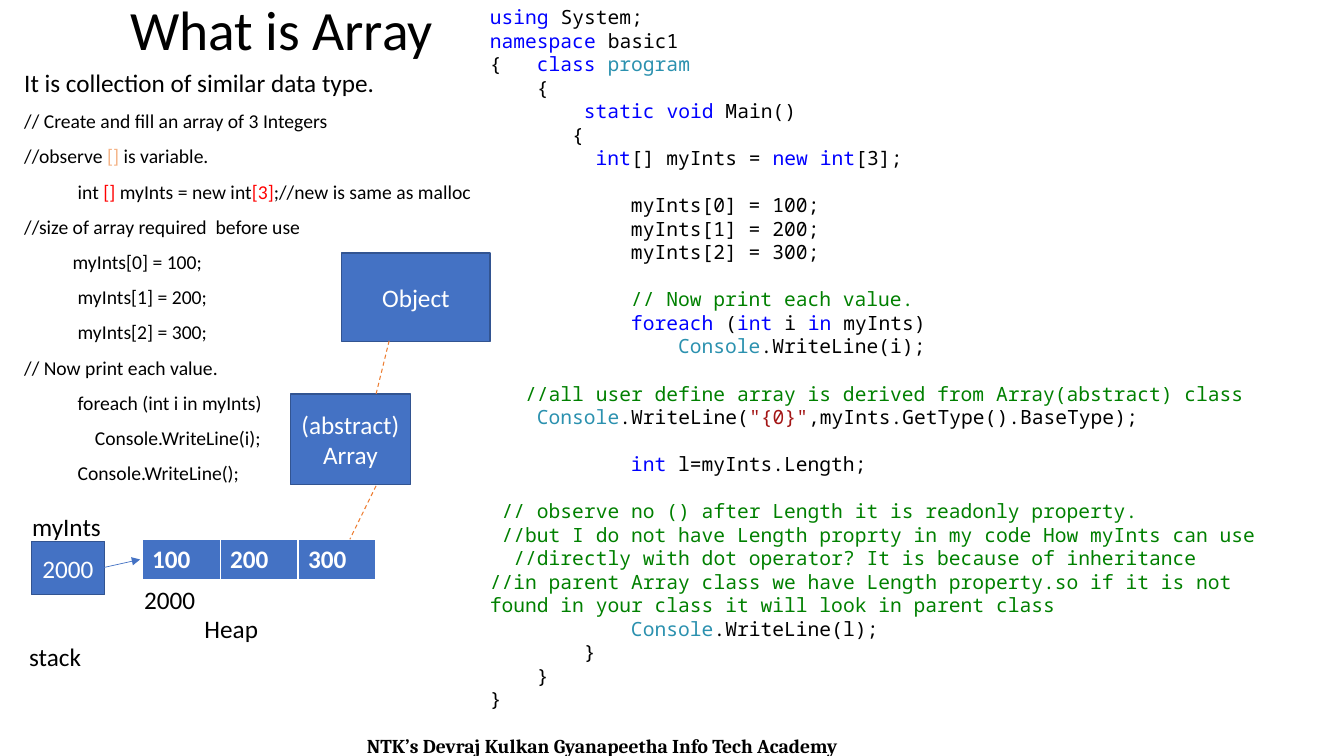
from dataclasses import dataclass
from functools import partial
from typing import NamedTuple

from lxml.etree import SubElement as Sub
from pptx import Presentation
from pptx.dml.color import RGBColor as Rgb
from pptx.enum.dml import MSO_LINE
from pptx.enum.shapes import MSO_CONNECTOR, MSO_SHAPE
from pptx.enum.text import MSO_ANCHOR, MSO_AUTO_SIZE, PP_ALIGN
from pptx.oxml.ns import qn
from pptx.util import Inches, Pt


@dataclass(frozen=True)
class Theme:
    black: str = "000000"
    white: str = "FFFFFF"
    blue: str = "4472C4"
    edge: str = "325491"
    dash: str = "ED7D31"
    peach: str = "F4B183"
    red: str = "FF0000"
    key: str = "0000FF"
    kind: str = "2B91AF"
    note: str = "008000"
    quote: str = "A31515"
    sans: str = "Calibri"
    serif: str = "Cambria"
    mono: str = "Noto Sans Mono"
    head: float = 39.6
    large: float = 18
    small: float = 14
    pitch: float = 16.8


T = Theme()


class Tint(NamedTuple):
    text: str
    color: str


class Row(NamedTuple):
    words: tuple
    left: float = 0
    gap: float = 0
    hang: float = 0
    size: float = T.small


class Box(NamedTuple):
    text: str
    x: float
    y: float
    w: float
    h: float


class Link(NamedTuple):
    start: tuple
    end: tuple
    color: str
    width: float
    arrow: bool = False


key, kind, note, quote, red, peach = (
    partial(Tint, color=c) for c in (T.key, T.kind, T.note, T.quote, T.red, T.peach))

BODY = [
    Row(("It is collection of similar data type.",), size=T.large),
    Row(("// Create and fill an array of 3 Integers",)),
    Row(("//observe ", peach("[] "), "is variable.")),
    Row(("int ", red("[] "), "myInts = new int", red("[3]"), ";//new is same as malloc"), 0.53),
    Row(("//size of array required  before use",)),
    Row(("myInts[0] = 100;",), 0.48),
    Row(("myInts[1] = 200;",), 0.53),
    Row(("myInts[2] = 300;",), 0.53),
    Row(("// Now print each value.",)),
    Row(("foreach (int i in myInts)",), 0.53),
    Row(("Console.WriteLine(i);",), 0.7),
    Row(("Console.WriteLine();",), 0.53),
]

CODE = [
    Row((key("using"), " System;")),
    Row((key("namespace"), " basic1")),
    Row(("{\t", key("class"), " ", kind("program")), 4, hang=4),
    Row(("{",), 4),
    Row((key("static"), " ", key("void"), " Main()"), 8),
    Row(("{",), 7),
    Row((key("int"), "[] myInts = ", key("new"), " ", key("int"), "[3];"), 9),
    Row(("myInts[0] = 100;",), 12, 1),
    Row(("myInts[1] = 200;",), 12),
    Row(("myInts[2] = 300;",), 12),
    Row((note("// Now print each value."),), 12, 1),
    Row((key("foreach"), " (", key("int"), " i ", key("in"), " myInts)"), 12),
    Row((kind("Console"), ".WriteLine(i);"), 16),
    Row((note("//all user define array is derived from Array(abstract) class"),), 3, 1),
    Row((kind("Console"), ".WriteLine(", quote('"{0}"'), ",myInts.GetType().BaseType);"), 4),
    Row((key("int"), " l=myInts.Length;"), 12, 1),
    Row((note("// observe no () after Length it is readonly property."),), 1, 1),
    Row((note("//but I do not have Length proprty in my code How myInts can use"),), 1),
    Row((note("//directly with dot operator? It is because of inheritance"),), 2),
    Row((note("//in parent Array class we have Length property.so if it is not "
              "found in your class it will look in parent class"),)),
    Row((kind("Console"), ".WriteLine(l);"), 12),
    Row(("}",), 8),
    Row(("}",), 4),
    Row(("}",)),
]

BOXES = [
    Box("2000", 0.31, 5.37, 0.73, 0.53),
    Box("(abstract)\vArray", 2.88, 3.91, 1.19, 0.9),
    Box("Object", 3.39, 2.51, 1.47, 0.88),
]
LABELS = [
    Box("myInts", 0.22, 5.02, 0.89, 0.4),
    Box("stack", 0.19, 6.31, 0.72, 0.4),
    Box("Heap", 1.93, 6.04, 0.74, 0.4),
    Box("2000", 1.33, 5.75, 0.71, 0.4),
]
LINKS = [
    Link((1.03, 5.63), (1.39, 5.55), T.blue, 0.5, True),
    Link((3.86, 3.38), (3.73, 3.91), T.dash, 0.75),
    Link((3.73, 4.82), (3.47, 5.35), T.dash, 0.75),
]


def style(font, size: float, color: str = T.black, face: str = T.sans, bold: bool = False) -> None:
    font.size, font.name, font.bold = Pt(size), face, bold
    font.color.rgb = Rgb.from_string(color)


def place(shape, x: float, y: float, w: float, h: float) -> None:
    shape.left, shape.top, shape.width, shape.height = map(Inches, (x, y, w, h))


def write(frame, rows: list[Row], face: str, unit: float, pitch, lead: float, step: float) -> None:
    frame.word_wrap, frame.auto_size = True, MSO_AUTO_SIZE.NONE
    for i, row in enumerate(rows):
        para = frame.add_paragraph() if i else frame.paragraphs[0]
        para.line_spacing = pitch
        para.space_before = Pt(lead + row.gap * step)
        props = para._p.get_or_add_pPr()
        props.set("marL", str(Inches(row.left * unit)))
        props.set("indent", str(-Inches(row.hang * unit)))
        Sub(props, qn("a:buNone"))
        style(para.font, row.size, face=face)
        for word in row.words:
            run = para.add_run()
            run.text = word.text if isinstance(word, Tint) else word
            if isinstance(word, Tint):
                run.font.color.rgb = Rgb.from_string(word.color)


def label(slide, box: Box) -> None:
    frame = slide.shapes.add_textbox(*map(Inches, box[1:])).text_frame
    frame.word_wrap = False
    frame.text = box.text
    style(frame.paragraphs[0].font, T.large)


def block(slide, box: Box) -> None:
    shape = slide.shapes.add_shape(MSO_SHAPE.RECTANGLE, *map(Inches, box[1:]))
    shape.shadow.inherit = False
    shape.fill.solid()
    shape.fill.fore_color.rgb = Rgb.from_string(T.blue)
    shape.line.color.rgb = Rgb.from_string(T.edge)
    shape.line.width = Pt(1)
    frame = shape.text_frame
    frame.vertical_anchor = MSO_ANCHOR.MIDDLE
    para = frame.paragraphs[0]
    para.text = box.text
    para.alignment = PP_ALIGN.CENTER
    style(para.font, T.large, T.white)


def join(slide, link: Link) -> None:
    line = slide.shapes.add_connector(
        MSO_CONNECTOR.STRAIGHT, *map(Inches, link.start + link.end))
    line.line.color.rgb = Rgb.from_string(link.color)
    line.line.width = Pt(link.width)
    if link.arrow:
        Sub(line._element.spPr.find(qn("a:ln")), qn("a:tailEnd"), type="triangle")
    else:
        line.line.dash_style = MSO_LINE.DASH
    Sub(line._element.spPr, qn("a:effectLst"))


def heap(slide, values: list[str]) -> None:
    table = slide.shapes.add_table(
        1, len(values), *map(Inches, (1.41, 5.35, 2.32, 0.34))).table
    for cell, value in zip(table.rows[0].cells, values):
        cell.fill.solid()
        cell.fill.fore_color.rgb = Rgb.from_string(T.blue)
        cell.text = value
        style(cell.text_frame.paragraphs[0].font, T.large, T.white, bold=True)


deck = Presentation()
deck.slide_width, deck.slide_height = Inches(13.33), Inches(7.5)
slide = deck.slides.add_slide(deck.slide_layouts[1])
title, body = slide.placeholders

place(title, 1.19, 0, 11.1, 0.65)
title.text = "What is Array"
title.text_frame.auto_size = MSO_AUTO_SIZE.NONE
title.text_frame.vertical_anchor = MSO_ANCHOR.MIDDLE
top = title.text_frame.paragraphs[0]
top.alignment, top.line_spacing = PP_ALIGN.LEFT, 0.9
style(top.font, T.head)

place(body, 0.14, 0.65, 5.19, 6.11)
write(body.text_frame, BODY, T.sans, 1, 0.9, 10, 0)
code = slide.shapes.add_textbox(*map(Inches, (4.76, 0, 7.88, 7.17)))
write(code.text_frame, CODE, T.mono, T.small * 0.6 / 72, Pt(T.pitch), 0, T.pitch)

foot = slide.shapes.add_textbox(*map(Inches, (1.32, 7.23, 9.31, 0.34))).text_frame
foot.word_wrap = True
foot.text = "NTK’s Devraj Kulkan Gyanapeetha Info Tech Academy"
foot.paragraphs[0].alignment = PP_ALIGN.CENTER
style(foot.paragraphs[0].font, T.small, face=T.serif, bold=True)

for box in BOXES:
    block(slide, box)
for box in LABELS:
    label(slide, box)
heap(slide, ["100", "200", "300"])
for link in LINKS:
    join(slide, link)

deck.save("out.pptx")
